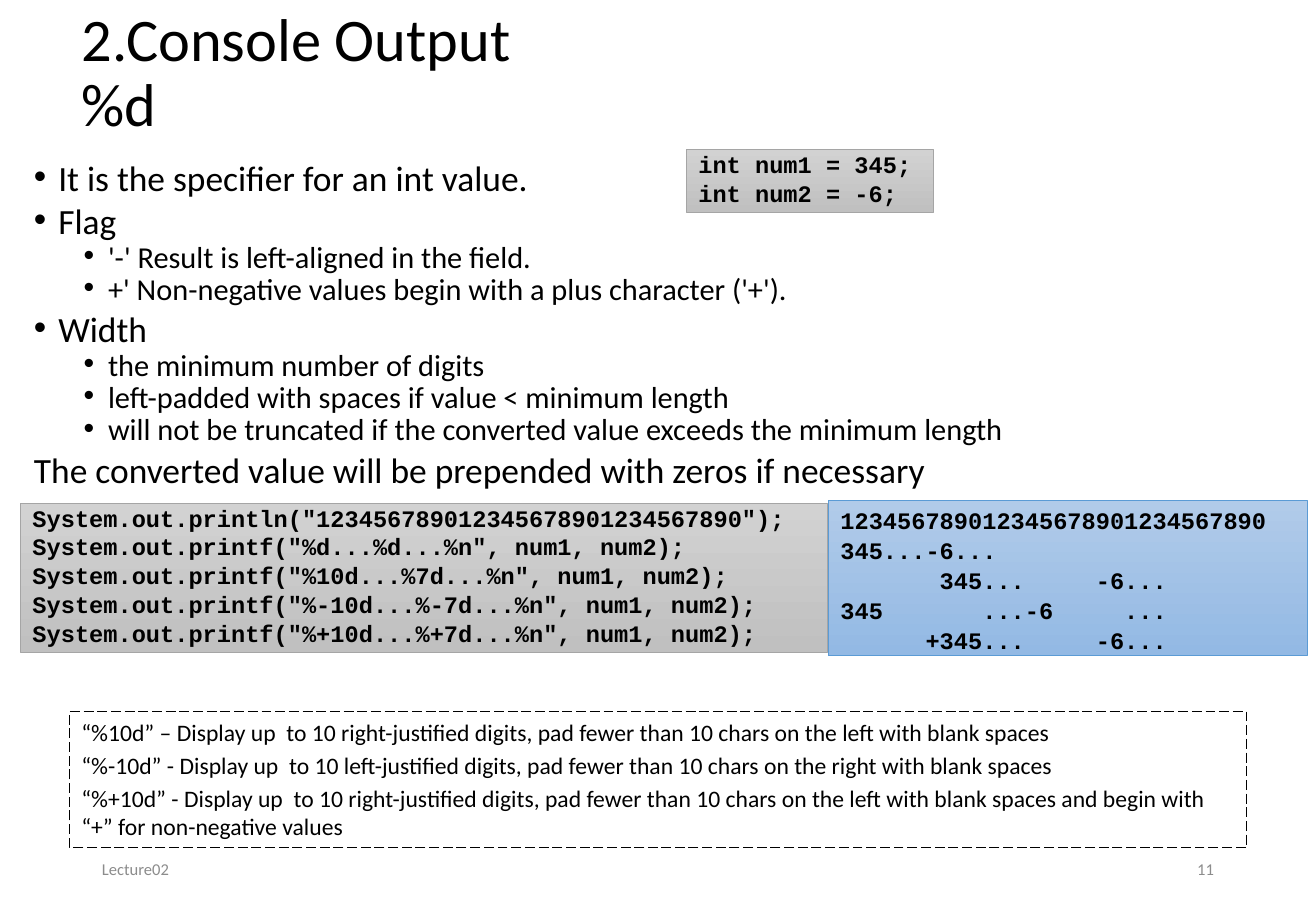
from dataclasses import dataclass

from lxml.etree import SubElement
from pptx import Presentation
from pptx.dml.color import RGBColor as Rgb
from pptx.enum.dml import MSO_LINE
from pptx.enum.shapes import MSO_SHAPE as Preset
from pptx.enum.text import MSO_ANCHOR as Anchor, MSO_AUTO_SIZE as AutoSize, PP_ALIGN as Align
from pptx.oxml.ns import qn
from pptx.util import Cm, Pt

TITLE = ["2.Console Output", "%d"]
BODY = [
    ("item", "It is the specifier for an int value."),
    ("item", "Flag"),
    ("sub", "'-' Result is left-aligned in the field."),
    ("sub", "+' Non-negative values begin with a plus character ('+')."),
    ("item", "Width"),
    ("sub", "the minimum number of digits"),
    ("sub", "left-padded with spaces if value < minimum length"),
    ("sub", "will not be truncated if the converted value exceeds the minimum length"),
    ("plain", "The converted value will be prepended with zeros if necessary"),
]
DECLARATIONS = ["int num1 = 345;", "int num2 = -6;"]
CALLS = [
    'System.out.println("123456789012345678901234567890");',
    'System.out.printf("%d...%d...%n", num1, num2);',
    'System.out.printf("%10d...%7d...%n", num1, num2);',
    'System.out.printf("%-10d...%-7d...%n", num1, num2);',
    'System.out.printf("%+10d...%+7d...%n", num1, num2);',
]
CONSOLE = [
    "123456789012345678901234567890",
    "345...-6...",
    "       345...     -6...",
    "345       ...-6     ...",
    "      +345...     -6...",
]
NOTES = [
    "“%10d” – Display up  to 10 right-justified digits, pad fewer than 10 chars on the left with blank spaces",
    "“%-10d” - Display up  to 10 left-justified digits, pad fewer than 10 chars on the right with blank spaces",
    "“%+10d” - Display up  to 10 right-justified digits, pad fewer than 10 chars on the left with blank spaces and begin with “+” for non-negative values",
]
FOOTERS = [("Lecture02", 1.88, Align.LEFT), ("11", 19.43, Align.RIGHT)]


@dataclass(frozen=True)
class Theme:
    sans: str = "Calibri"
    mono: str = "Courier New"
    ink: str = "000000"
    muted: str = "8C8C8C"
    gray: tuple = ("D2D2D2", "C0C0C0", "A5A5A5")
    blue: tuple = ("B1CBE9", "93B9E4", "5B9BD5")
    title: float = 35.8
    item: float = 21
    sub: float = 18
    code: float = 14
    footer: float = 9.8


THEME = Theme()
BODY_STYLES = {
    "item": (THEME.item, 8.1, 0.51),
    "sub": (THEME.sub, 4.1, 1.55),
    "plain": (THEME.item, 8.1, None),
}


def place(target, left, top, width, height):
    target.left, target.top, target.width, target.height = map(Cm, (left, top, width, height))


def add_run(paragraph, text, size, font=THEME.sans, color=THEME.ink, bold=False):
    run = paragraph.add_run()
    run.text = text
    run.font.size = Pt(size)
    run.font.name = font
    run.font.bold = bold
    run.font.color.rgb = Rgb.from_string(color)


def set_frame(frame, anchor):
    frame.word_wrap = True
    frame.auto_size = AutoSize.NONE
    frame.vertical_anchor = anchor


def add_paragraph(frame, index, spacing=1.0, before=0, align=Align.LEFT):
    paragraph = frame.add_paragraph() if index else frame.paragraphs[0]
    paragraph.alignment = align
    paragraph.line_spacing = spacing
    paragraph.space_before = Pt(before)
    return paragraph


def add_bullet(paragraph, margin):
    properties = paragraph._p.get_or_add_pPr()
    properties.set("marL", str(Cm(margin)))
    properties.set("indent", str(-Cm(0.51)))
    SubElement(properties, qn("a:buFont")).set("typeface", "Arial")
    SubElement(properties, qn("a:buChar")).set("char", "•")


def add_panel(slide, box, lines, spacing, before, palette=None):
    panel = slide.shapes.add_shape(Preset.RECTANGLE, *map(Cm, box))
    panel.shadow.inherit = False
    if palette:
        panel.fill.gradient()
        panel.fill.gradient_angle = 270
        for stop, color in zip(panel.fill.gradient_stops, palette):
            stop.color.rgb = Rgb.from_string(color)
        panel.line.color.rgb = Rgb.from_string(palette[-1])
        panel.line.width = Pt(0.5)
    else:
        panel.fill.background()
        panel.line.color.rgb = Rgb.from_string(THEME.ink)
        panel.line.width = Pt(0.75)
        panel.line.dash_style = MSO_LINE.LONG_DASH
    set_frame(panel.text_frame, Anchor.TOP)
    font = THEME.mono if palette else THEME.sans
    for index, line in enumerate(lines):
        paragraph = add_paragraph(panel.text_frame, index, spacing, before)
        add_run(paragraph, line, THEME.code, font, bold=bool(palette))


def main():
    deck = Presentation()
    deck.slide_width, deck.slide_height = Cm(27.51), Cm(19.05)
    slide = deck.slides.add_slide(deck.slide_layouts[5])

    title = slide.shapes.title
    place(title, 1.45, -0.28, 23.72, 3.68)
    set_frame(title.text_frame, Anchor.MIDDLE)
    heading = add_paragraph(title.text_frame, 0, 0.9)
    for index, line in enumerate(TITLE):
        if index:
            heading.add_line_break()
        add_run(heading, line, THEME.title)

    body = slide.shapes.add_textbox(*map(Cm, (0.46, 3.38, 26.37, 7.59))).text_frame
    set_frame(body, Anchor.TOP)
    for index, (kind, text) in enumerate(BODY):
        size, before, margin = BODY_STYLES[kind]
        paragraph = add_paragraph(body, index, 0.7, before)
        if margin:
            paragraph.level = int(kind == "sub")
            add_bullet(paragraph, margin)
        add_run(paragraph, text, size)

    for text, left, align in FOOTERS:
        footer = slide.shapes.add_textbox(*map(Cm, (left, 17.65, 6.2, 1.02))).text_frame
        set_frame(footer, Anchor.MIDDLE)
        add_run(add_paragraph(footer, 0, align=align), text, THEME.footer, color=THEME.muted)

    add_panel(slide, (14.35, 3.12, 5.16, 1.32), DECLARATIONS, 0.8, 3.6, THEME.gray)
    add_panel(slide, (1.45, 14.88, 24.61, 2.84), NOTES, 1.0, 2.8)
    add_panel(slide, (0.43, 10.52, 16.87, 3.12), CALLS, 0.8, 3.6, THEME.gray)
    add_panel(slide, (17.32, 10.46, 10.01, 3.25), CONSOLE, 1.0, 1, THEME.blue)

    deck.save("out.pptx")


if __name__ == "__main__":
    main()
